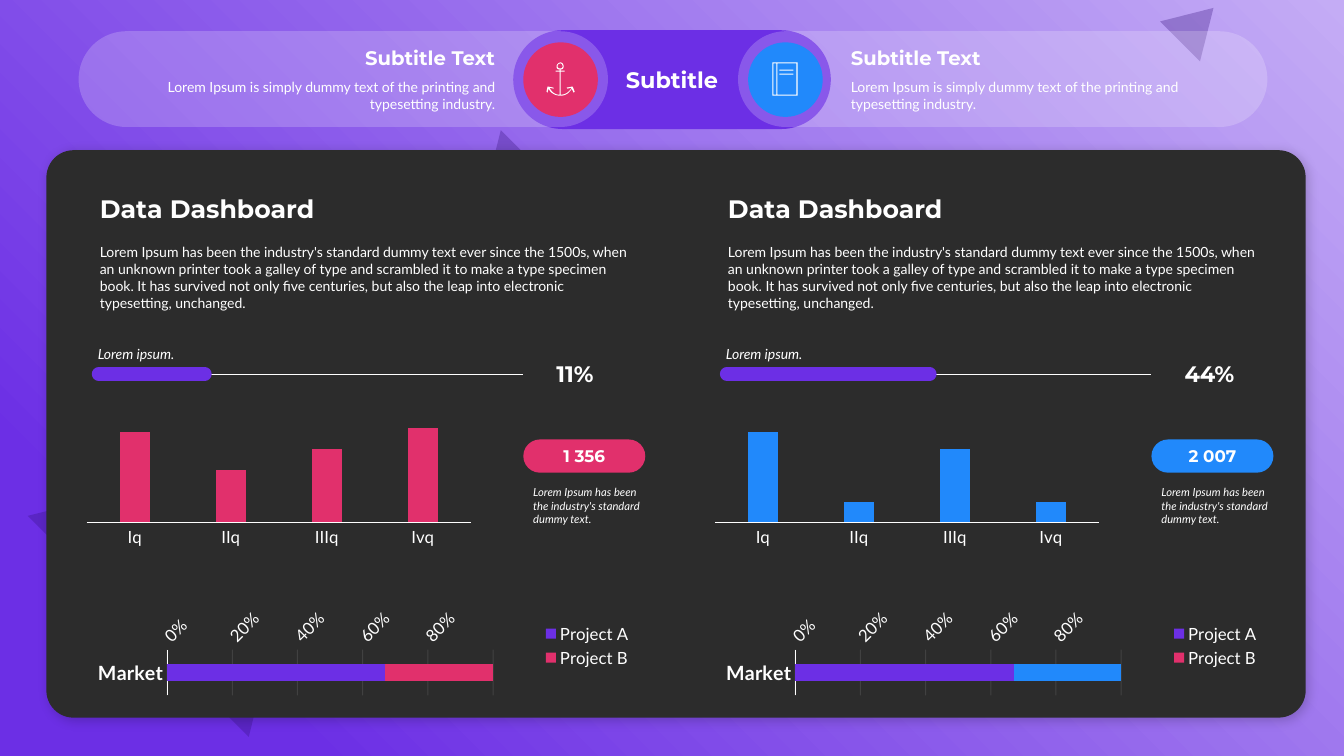
from dataclasses import dataclass
from typing import Any

import pptx
import pptx.chart.data
import pptx.dml.color
import pptx.enum.chart
import pptx.enum.shapes
import pptx.enum.text
import pptx.oxml
import pptx.oxml.ns
import pptx.util
from pptx.util import Inches

WHITE, DARK, VIOLET, PINK, BLUE = "FFFFFF", "2C2C2C", "6C2FE5", "E1306C", "2189FB"
HEAD, BODY = "Montserrat", "Lato"
NS = pptx.oxml.ns.nsdecls("a", "c")
KIND = pptx.enum.shapes.MSO_SHAPE
ALIGN = pptx.enum.text.PP_ALIGN
ANCHOR = pptx.enum.text.MSO_ANCHOR
FIT = pptx.enum.text.MSO_AUTO_SIZE
CHART = pptx.enum.chart
STEP = 6.23
Box = tuple[float, float, float, float]
BLURB = "Lorem Ipsum is simply dummy text of the printing and typesetting industry."
STORY = ("Lorem Ipsum has been the industry's standard dummy text ever since the 1500s, "
         "when an unknown printer took a galley of type and scrambled it to make a type "
         "specimen book. It has survived not only five centuries, but also the leap into "
         "electronic typesetting, unchanged.")
NOTE = "Lorem Ipsum has been the industry's standard dummy text."


@dataclass
class Panel:
    left: float
    hue: str
    share: str
    done: float
    total: str
    bars: tuple[int, ...]
    top: int


@dataclass
class Badge:
    left: float
    hue: str
    flank: float
    side: Any
    inset: Box


PANELS = [Panel(0, PINK, "11%", 1.05, "1 356", (96, 56, 78, 100), 111),
          Panel(STEP, BLUE, "44%", 2.01, "2 007", (100, 23, 81, 23), 116)]
BADGES = [Badge(7.42, BLUE, 7.32, ALIGN.LEFT, (0.98, 0.05, 0.2, 0.05)),
          Badge(5.19, PINK, 0.78, ALIGN.RIGHT, (0.2, 0.05, 0.98, 0.05))]
# Contours: pairs are corners, sixes are cubic curves
HOOK = [[(5.49, 0.87), (5.44, 0.86), (5.43, 0.86), (5.42, 0.91), (5.43, 0.92), (5.44, 0.88),
         (5.46, 0.92, 5.5, 0.95, 5.56, 0.95), (5.61, 0.95, 5.65, 0.92, 5.67, 0.88),
         (5.69, 0.92), (5.7, 0.91), (5.68, 0.86), (5.67, 0.86), (5.62, 0.87), (5.63, 0.88),
         (5.67, 0.87), (5.65, 0.91, 5.61, 0.94, 5.56, 0.94), (5.56, 0.71), (5.6, 0.71),
         (5.6, 0.7), (5.56, 0.7), (5.56, 0.69), (5.58, 0.69, 5.59, 0.68, 5.59, 0.66),
         (5.59, 0.64, 5.58, 0.62, 5.56, 0.62), (5.54, 0.62, 5.52, 0.64, 5.52, 0.66),
         (5.52, 0.68, 5.53, 0.69, 5.55, 0.69), (5.55, 0.7), (5.51, 0.7), (5.51, 0.71),
         (5.55, 0.71), (5.55, 0.94), (5.5, 0.94, 5.47, 0.91, 5.45, 0.87), (5.49, 0.88)],
        [(5.53, 0.66), (5.53, 0.64, 5.54, 0.63, 5.56, 0.63),
         (5.57, 0.63, 5.58, 0.64, 5.58, 0.66), (5.58, 0.67, 5.57, 0.68, 5.56, 0.68),
         (5.54, 0.68, 5.53, 0.67, 5.53, 0.66)]]
BOOK = [[(a, b), (c, b), (c, d), (a, d)] for a, b, c, d in
        [(7.66, 0.62, 7.91, 0.95), (7.67, 0.63, 7.7, 0.94), (7.71, 0.63, 7.9, 0.94)]]


def tint(fmt: Any, hue: str, alpha: int = 100) -> None:
    """Give a fill, font or line colour format a hex colour and opacity."""
    if hasattr(fmt, "solid"):
        fmt.solid()
        fmt = fmt.fore_color
    fmt.rgb = pptx.dml.color.RGBColor.from_string(hue)
    if alpha < 100:
        node = fmt._xFill[0]
        node.append(pptx.oxml.parse_xml(f'<a:alpha {NS} val="{alpha * 1000}"/>'))


def write(shape: Any, text: str, *, size: float, font: str = BODY, bold: bool = False,
          slant: bool = False, side: Any = ALIGN.LEFT, after: float = 0,
          anchor: Any = ANCHOR.MIDDLE, inset: Box = (0.1, 0.05, 0.1, 0.05),
          fit: Any = FIT.NONE) -> None:
    """Add one formatted paragraph to a shape."""
    frame = shape.text_frame
    frame.word_wrap, frame.auto_size, frame.vertical_anchor = True, fit, anchor
    (frame.margin_left, frame.margin_top,
     frame.margin_right, frame.margin_bottom) = map(Inches, inset)
    para = frame.add_paragraph() if frame.text else frame.paragraphs[0]
    para.alignment = side
    para.space_before, para.space_after = pptx.util.Pt(0), pptx.util.Pt(after)
    run = para.add_run()
    run.text = text
    run.font.name, run.font.size = font, pptx.util.Pt(size)
    run.font.bold, run.font.italic = bold, slant
    tint(run.font.color, WHITE)


def draw(shapes: Any, kind: Any, box: Box, hue: str, alpha: int = 100,
         turn: float = 0, bend: float | None = None) -> Any:
    shape = shapes.add_shape(kind, *map(Inches, box))
    shape.shadow.inherit = False
    tint(shape.fill, hue, alpha)
    shape.line.fill.background()
    shape.rotation = turn
    if bend is not None:
        shape.adjustments[0] = bend
    return shape


def trace(shapes: Any, paths: list) -> None:
    """Draw a white icon from its contours."""
    pen = None
    for path in paths:
        pts = []
        for node in path:
            if len(node) == 2:
                pts.append(node)
                continue
            (x, y), (a, b, c, d, e, f) = pts[-1], node
            for t in (i / 8 for i in range(1, 9)):
                u = 1 - t
                w = (u ** 3, 3 * u * u * t, 3 * u * t * t, t ** 3)
                pts.append((sum(p * q for p, q in zip(w, (x, a, c, e))),
                            sum(p * q for p, q in zip(w, (y, b, d, f)))))
        pts = [(Inches(x), Inches(y)) for x, y in pts]
        if pen is None:
            pen = shapes.build_freeform(*pts[0], scale=1.0)
        else:
            pen.move_to(*pts[0])
        pen.add_line_segments(pts[1:], close=True)
    icon = pen.convert_to_shape()
    icon.shadow.inherit = False
    tint(icon.fill, WHITE)
    icon.line.fill.background()


def rule(shapes: Any, left: float, right: float, hue: str, width: float) -> Any:
    line = shapes.add_connector(pptx.enum.shapes.MSO_CONNECTOR.STRAIGHT,
                                *map(Inches, (left, 3.71, right, 3.71)))
    tint(line.line.fill, hue)
    line.line.width = pptx.util.Pt(width)
    line._element.spPr.append(pptx.oxml.parse_xml(f"<a:effectLst {NS}/>"))
    return line


def label(shapes: Any, box: Box, text: str, **form: Any) -> None:
    write(shapes.add_textbox(*map(Inches, box)), text, fit=FIT.SHAPE_TO_FIT_TEXT, **form)


def place(shapes: Any, holder: Any, box: Box) -> Any:
    """Move a placeholder to a box, in front of what is drawn so far."""
    holder.left, holder.top, holder.width, holder.height = map(Inches, box)
    shapes._spTree.append(holder._element)
    return holder


def graph(shapes: Any, kind: Any, box: Box, cats: list[str], rows: list[tuple],
          plot: Box, gap: int, lap: int, size: float, bold: bool = False) -> Any:
    """Add a bar chart; rows hold name, values and colour."""
    data = pptx.chart.data.CategoryChartData()
    data.categories = cats
    for name, vals, _ in rows:
        data.add_series(name, vals)
    chart = shapes.add_chart(kind, *map(Inches, box), data).chart
    chart.has_title = chart.has_legend = False
    chart.font.name, chart.font.size = BODY, pptx.util.Pt(12)
    tint(chart.font.color, WHITE)
    bars = chart.plots[0]
    bars.gap_width, bars.overlap, bars.vary_by_categories = gap, lap, False
    for one, (_, _, hue) in zip(bars.series, rows):
        tint(one.format.fill, hue)
    axis = chart.category_axis
    axis.major_tick_mark = chart.value_axis.major_tick_mark = CHART.XL_TICK_MARK.NONE
    axis.tick_labels.font.size, axis.tick_labels.font.bold = pptx.util.Pt(size), bold
    tint(axis.format.line.fill, WHITE)
    axis.format.line.width = pptx.util.Pt(0.75)
    area = chart._chartSpace.chart.plotArea
    for old in area.findall(pptx.oxml.ns.qn("c:layout")):
        area.remove(old)
    marks = "".join(f'<c:{tag} val="{val}"/>' for tag, val in
                    [("layoutTarget", "inner"), ("xMode", "edge"), ("yMode", "edge"),
                     *zip("xywh", plot)])
    area.insert(0, pptx.oxml.parse_xml(
        f"<c:layout {NS}><c:manualLayout>{marks}</c:manualLayout></c:layout>"))
    return chart


def board(shapes: Any, item: Panel, head: Any, text: Any) -> None:
    """Draw one half of the dashboard."""
    x = item.left
    pill = draw(shapes, KIND.ROUNDED_RECTANGLE, (x + 5.19, 4.36, 1.21, 0.33), item.hue, bend=0.5)
    write(pill, item.total, size=12, font=HEAD, bold=True, side=ALIGN.CENTER, inset=(0, 0, 0, 0))
    label(shapes, (x + 5.19, 4.77, 1.38, 0.5), NOTE, size=8, slant=True, anchor=ANCHOR.TOP)
    cols = graph(shapes, CHART.XL_CHART_TYPE.COLUMN_CLUSTERED, (x + 0.78, 3.98, 4.01, 1.65),
                 ["Iq", "IIq", "IIIq", "Ivq"], [("Series 1", item.bars, item.hue)],
                 (0.02, 0.1, 0.95, 0.63), 219, -27, 12)
    scale = cols.value_axis
    scale.has_major_gridlines = scale.visible = False
    scale.minimum_scale, scale.maximum_scale = 0, item.top
    stack = graph(shapes, CHART.XL_CHART_TYPE.BAR_STACKED_100, (x + 0.89, 5.89, 5.48, 1.03),
                  ["Market"], [("Project A", (67,), VIOLET), ("Project B", (33,), PINK)],
                  (0.14, 0.54, 0.59, 0.44), 155, 100, 14, True)
    tint(stack.plots[0].series[1].points[0].format.fill, item.hue)
    stack.category_axis.reverse_order = True
    scale = stack.value_axis
    scale.format.line.fill.background()
    scale.tick_labels.number_format, scale.tick_labels.number_format_is_linked = "0%", False
    scale.tick_labels.font.size = pptx.util.Pt(12)
    scale._element.txPr.bodyPr.set("rot", "-2700000")
    grid = scale.major_gridlines.format.line
    tint(grid.fill, WHITE, 10)
    grid.width = pptx.util.Pt(0.75)
    stack.has_legend = True
    stack.legend.position = CHART.XL_LEGEND_POSITION.RIGHT
    stack.legend.include_in_layout = False
    write(place(shapes, text, (x + 0.89, 2.37, 5.48, 0.77)), STORY, size=10, after=6,
          anchor=ANCHOR.TOP)
    props = text.text_frame.paragraphs[0]._p.get_or_add_pPr()
    props.set("marL", "0")
    props.set("indent", "0")
    props.append(pptx.oxml.parse_xml(f"<a:buNone {NS}/>"))
    write(place(shapes, head, (x + 0.89, 1.87, 5.48, 0.4)), "Data Dashboard", size=18,
          font=HEAD, bold=True, anchor=ANCHOR.BOTTOM)
    rule(shapes, x + 0.93, x + 5.19, WHITE, 0.5)
    bar = rule(shapes, x + 0.98, x + 0.98 + item.done, VIOLET, 10)
    bar.line._get_or_add_ln().set("cap", "rnd")
    label(shapes, (x + 5.42, 3.52, 0.95, 0.37), item.share, size=16, font=HEAD, bold=True)
    label(shapes, (x + 0.89, 3.37, 1.92, 0.27), "Lorem ipsum.", size=10, slant=True,
          anchor=ANCHOR.BOTTOM, inset=(0.08, 0.05, 0.1, 0.05))


def main() -> None:
    deck = pptx.Presentation()
    deck.slide_width, deck.slide_height = Inches(13.33), Inches(7.5)
    slide = deck.slides.add_slide(deck.slide_layouts[4])
    shapes = slide.shapes
    title, *parts = list(slide.placeholders)
    tint(slide.background.fill, DARK)
    back = draw(shapes, KIND.RECTANGLE, (0, 0, 13.33, 7.5), VIOLET)
    props = back._element.spPr
    props.replace(props.find(pptx.oxml.ns.qn("a:solidFill")), pptx.oxml.parse_xml(
        f'<a:gradFill {NS}><a:gsLst><a:gs pos="0"><a:srgbClr val="C4ACF5"/></a:gs>'
        f'<a:gs pos="85000"><a:srgbClr val="{VIOLET}"/></a:gs></a:gsLst>'
        '<a:path path="circle"><a:fillToRect l="100000" b="100000"/></a:path></a:gradFill>'))
    for box, flip in [((0.73, 4.02, 3.1, 2.57), "0"), ((4.57, 1.5, 0.9, 0.75), "1"),
                      ((11.59, 0.01, 0.56, 0.47), "0")]:
        wedge = draw(shapes, KIND.ISOSCELES_TRIANGLE, box, "330F7B", 30, 45)
        wedge._element.spPr.xfrm.set("flipV", flip)
    hub = (5.09, 0.3, 3.15, 0.98)
    draw(shapes, KIND.ROUNDED_RECTANGLE, hub, VIOLET, bend=0.5)
    write(place(shapes, title, hub), "Subtitle", size=16, font=HEAD, bold=True,
          side=ALIGN.CENTER, inset=(0.87, 0.05, 0.87, 0.05))
    for item in BADGES:
        wing = draw(shapes, KIND.ROUNDED_RECTANGLE, (item.flank, 0.31, 5.25, 0.95), WHITE, 20,
                    bend=0.5)
        form = {"side": item.side, "inset": item.inset, "after": 6}
        write(wing, "Subtitle Text", size=14, font=HEAD, bold=True, **form)
        write(wing, BLURB, size=10, **form)
        draw(shapes, KIND.OVAL, (item.left, 0.42, 0.74, 0.74), item.hue)
    trace(shapes, HOOK)
    book = shapes.add_group_shape().shapes
    trace(book, BOOK)
    for y in (0.69, 0.73):
        draw(book, KIND.RECTANGLE, (7.73, y, 0.14, 0.01), WHITE)
    card = draw(shapes, KIND.ROUNDED_RECTANGLE, (0.46, 1.49, 12.49, 5.63), DARK, bend=0.048)
    card._element.spPr.find(pptx.oxml.ns.qn("a:effectLst")).append(pptx.oxml.parse_xml(
        f'<a:outerShdw {NS} blurRad="101600" dist="38100" dir="2700000" rotWithShape="0">'
        '<a:srgbClr val="000000"><a:alpha val="20000"/></a:srgbClr></a:outerShdw>'))
    for item, head, text in zip(PANELS, parts[::2], parts[1::2]):
        board(shapes, item, head, text)
    deck.save("out.pptx")


if __name__ == "__main__":
    main()
